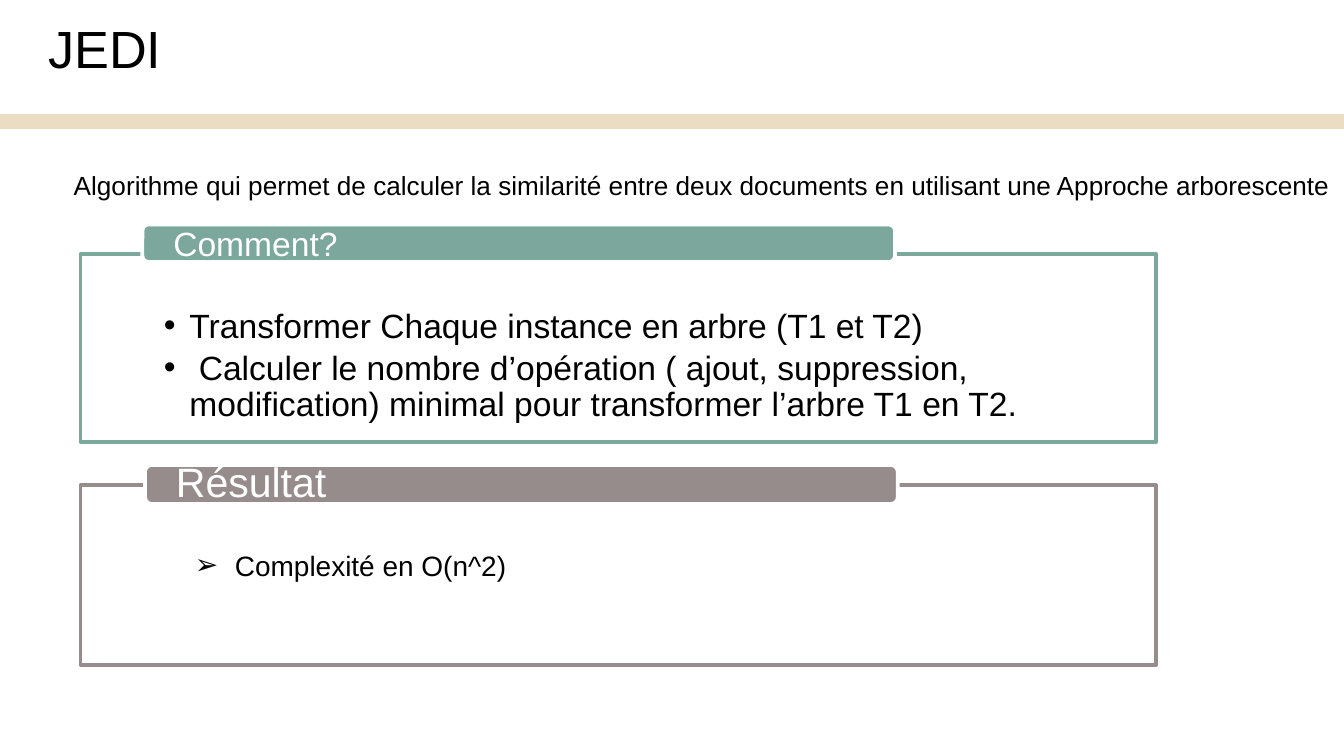
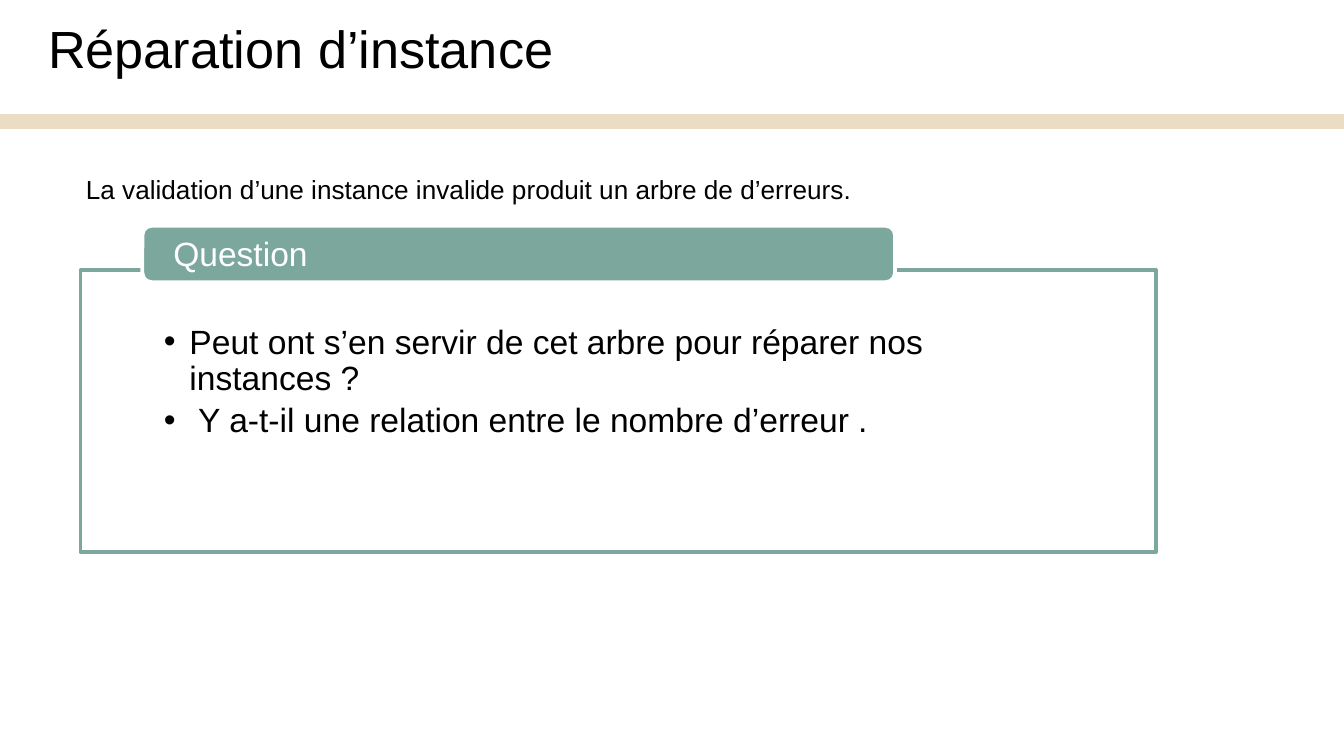
from lxml import etree
from pptx import Presentation
from pptx.dml.color import RGBColor
from pptx.enum.shapes import MSO_SHAPE
from pptx.enum.text import MSO_ANCHOR, MSO_AUTO_SIZE
from pptx.oxml.ns import qn
from pptx.util import Inches, Pt

BLACK = RGBColor(0x00, 0x00, 0x00)
WHITE = RGBColor(0xFF, 0xFF, 0xFF)
SAND = RGBColor(0xEB, 0xDD, 0xC3)
GREEN = RGBColor(0x7B, 0xA7, 0x9D)
TAUPE = RGBColor(0x96, 0x8C, 0x8C)

FONT = "Arial"
PANEL_LEFT, PANEL_WIDTH = 0.6, 8
TAB_WIDTH = 5.6


def add_bullet(paragraph, char, margin, indent):
    paragraph.level = 1
    props = paragraph._p.get_or_add_pPr()
    props.set("marL", str(Inches(margin)))
    props.set("indent", str(Inches(indent)))
    colour = etree.SubElement(props, qn("a:buClr"))
    etree.SubElement(colour, qn("a:srgbClr"), val=str(BLACK))
    etree.SubElement(props, qn("a:buFont"), typeface=FONT)
    etree.SubElement(props, qn("a:buChar"), char=char)


def write_text(shapes, lines, box, size=18, color=BLACK, wrap=True,
               insets=(0.1, 0.05, 0.1, 0.05), anchor=MSO_ANCHOR.TOP,
               line_spacing=None, space_after=None, bullet=None):
    """Add a text box; bullet is (character, margin, indent)."""
    frame = shapes.add_textbox(*map(Inches, box)).text_frame
    frame.word_wrap = wrap
    frame.auto_size = MSO_AUTO_SIZE.NONE if wrap else MSO_AUTO_SIZE.SHAPE_TO_FIT_TEXT
    frame.vertical_anchor = anchor
    (frame.margin_left, frame.margin_top,
     frame.margin_right, frame.margin_bottom) = map(Inches, insets)
    for index, line in enumerate(lines):
        paragraph = frame.add_paragraph() if index else frame.paragraphs[0]
        if line_spacing:
            paragraph.line_spacing = line_spacing
        if space_after:
            paragraph.space_after = Pt(space_after)
        if bullet:
            add_bullet(paragraph, *bullet)
        run = paragraph.add_run()
        run.text = line
        run.font.name = FONT
        run.font.size = Pt(size)
        run.font.color.rgb = color


class Deck:
    def __init__(self):
        self.presentation = Presentation()
        # Widescreen, 16:9
        self.presentation.slide_width = Inches(10)
        self.presentation.slide_height = Inches(10) * 9 // 16
        self.slide = None

    def new_slide(self, title, title_width):
        self.slide = self.presentation.slides.add_slide(
            self.presentation.slide_layouts[6])
        self.block(self.slide.shapes, MSO_SHAPE.RECTANGLE, (0, 0.85, 10, 0.11), SAND)
        write_text(self.slide.shapes, [title], (0.26, 0.07, title_width, 0.57),
                   size=28, wrap=False)

    def block(self, shapes, kind, box, fill, line=None, opacity=None):
        shape = shapes.add_shape(kind, *map(Inches, box))
        shape.shadow.inherit = False
        shape.fill.solid()
        shape.fill.fore_color.rgb = fill
        if opacity:
            fill_color = shape.fill._xPr.find(qn("a:solidFill"))[0]
            etree.SubElement(fill_color, qn("a:alpha"), val=str(opacity * 1000))
        if line is None:
            shape.line.fill.background()
        else:
            shape.line.color.rgb = line
            shape.line.width = Pt(2)

    def intro(self, text, left, top, width, height):
        write_text(self.slide.shapes, [text], (left, top, width, height),
                   size=14, wrap=False)

    def panel(self, heading, points, top, height, tab, label, color=GREEN,
              heading_size=18, list_box=None, **body):
        """Framed list with a tab (left, top, height) and its label (top, height)."""
        shapes = self.slide.shapes.add_group_shape().shapes
        tab_left, tab_top, tab_height = tab
        label_top, label_height = label
        frame = (PANEL_LEFT, top, PANEL_WIDTH, height)
        # Frame and list
        self.block(shapes, MSO_SHAPE.RECTANGLE, frame, WHITE, color, opacity=90)
        style = dict(insets=(0.62, 0.41, 0.62, 0.14), line_spacing=0.9,
                     space_after=3, bullet=("•", 0.19, -0.19))
        write_text(shapes, points, list_box or frame, **{**style, **body})
        # Heading tab
        self.block(shapes, MSO_SHAPE.ROUNDED_RECTANGLE,
                   (tab_left, tab_top, TAB_WIDTH, tab_height), color, WHITE)
        write_text(shapes, [heading],
                   (tab_left + 0.02, label_top, TAB_WIDTH - 0.04, label_height),
                   size=heading_size, color=WHITE, insets=(0.21, 0, 0.21, 0),
                   anchor=MSO_ANCHOR.MIDDLE, line_spacing=0.9)


def main():
    deck = Deck()

    # JEDI algorithm
    deck.new_slide("JEDI", 1.05)
    deck.intro("Algorithme qui permet de calculer la similarité entre deux documents "
               "en utilisant une Approche arborescente", 0.45, 1.21, 9.62, 0.57)
    deck.panel("Comment?",
               ["Transformer Chaque instance en arbre (T1 et T2)",
                " Calculer le nombre d’opération ( ajout, suppression, modification) "
                "minimal pour transformer l’arbre T1 en T2."],
               top=1.89, height=1.4, tab=(1.06, 1.67, 0.28), label=(1.67, 0.31))
    deck.panel("Résultat", [" Complexité en O(n^2)"],
               top=3.61, height=1.34, tab=(1.08, 3.46, 0.29), label=(3.47, 0.26),
               color=TAUPE, heading_size=22, size=15,
               list_box=(PANEL_LEFT, 3.41, PANEL_WIDTH, 1.12),
               insets=(0.62, 0.67, 0.62, 0.12),
               line_spacing=None, space_after=None, bullet=("➢", 0.47, -0.24))

    # Instance repair
    deck.new_slide("Réparation d’instance", 4.01)
    deck.intro("La validation d’une instance invalide produit un arbre de d’erreurs.",
               0.54, 1.24, 5.98, 0.34)
    deck.panel("Question",
               ["Peut ont s’en servir de cet arbre pour réparer nos instances ?",
                " Y a-t-il une relation entre le nombre d’erreur ."],
               top=2.01, height=2.1, tab=(1.06, 1.68, 0.42), label=(1.67, 0.47))

    deck.presentation.save("out.pptx")


if __name__ == "__main__":
    main()
